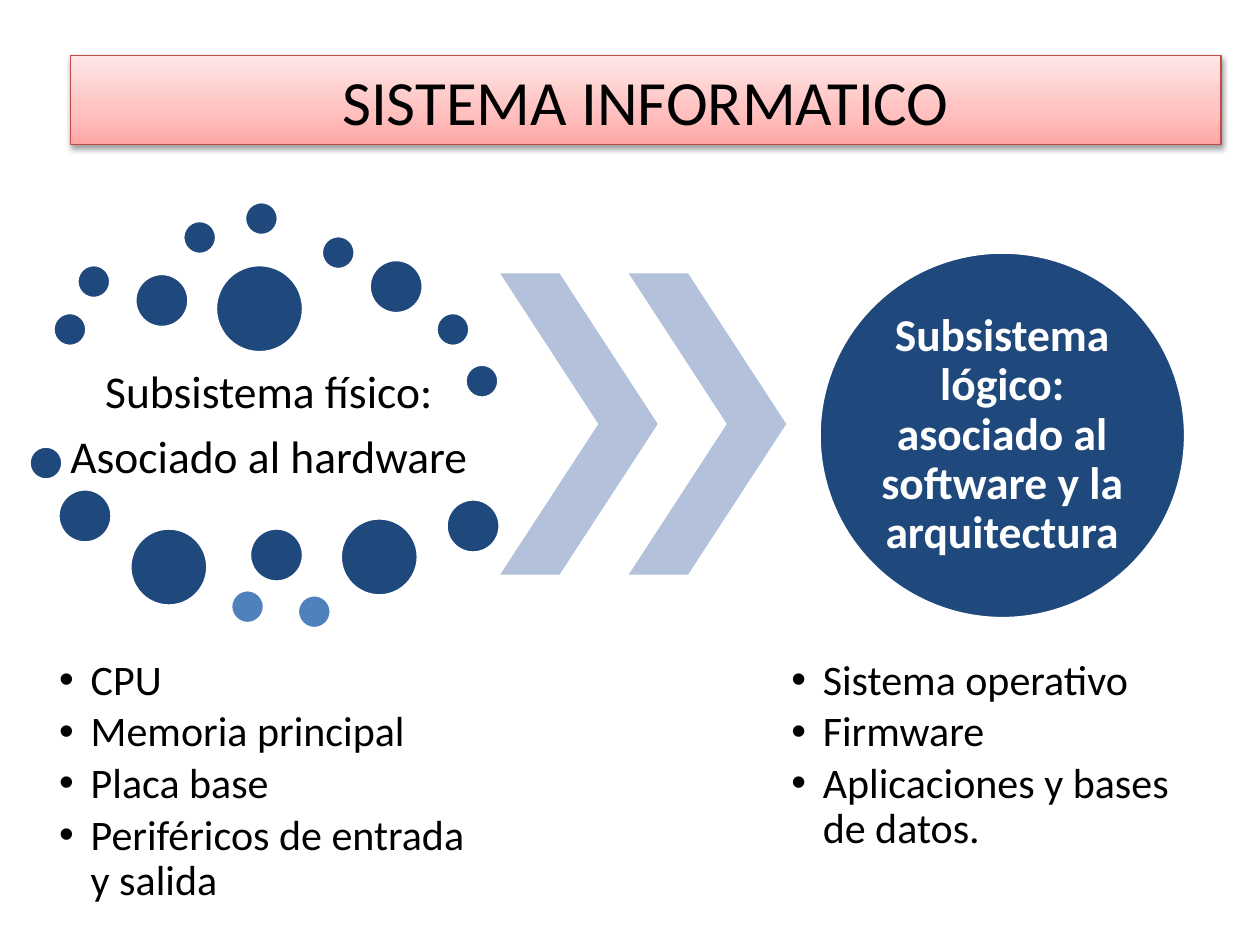
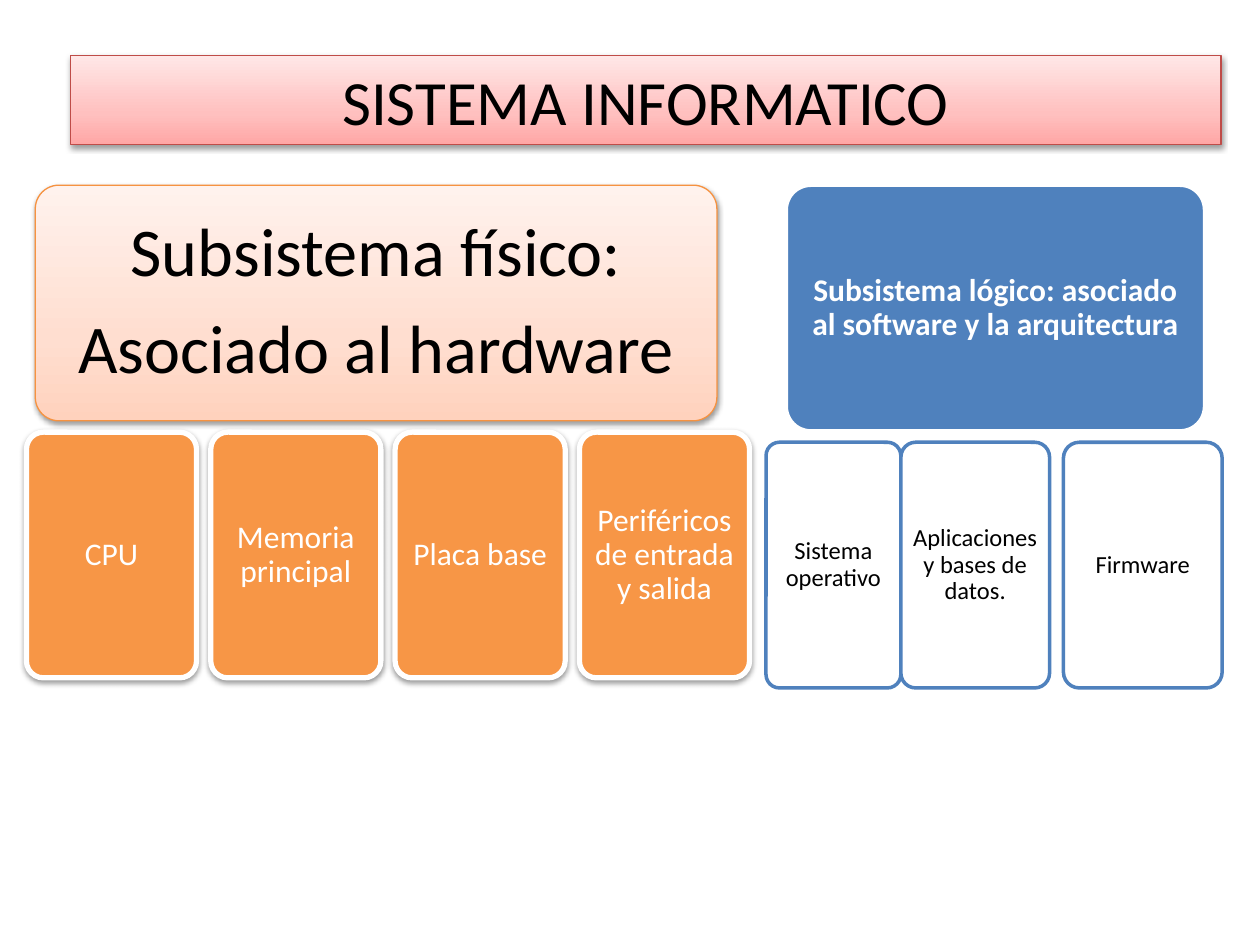
from pptx import Presentation
from pptx.dml.color import RGBColor
from pptx.enum.shapes import MSO_SHAPE as SHAPE
from pptx.enum.text import MSO_ANCHOR as ANCHOR, MSO_AUTO_SIZE as AUTO_SIZE, PP_ALIGN as ALIGN
from pptx.oxml import parse_xml
from pptx.oxml.ns import nsdecls, qn
from pptx.util import Inches, Pt

COLORS = {
    "black": "000000", "white": "FFFFFF", "navy": "1F497D", "blue": "4F81BD",
    "pale_blue": "B3C1DB", "orange": "F79646", "orange_edge": "F69240", "red_edge": "BF4C48",
}
GRADIENTS = {
    "red": {0: "FFA6A5", 35: "FFC0BF", 100: "FFE7E7"},
    "peach": {0: "FFD2BD", 35: "FFDED0", 100: "FFF2ED"},
}
FONT = "Calibri"
PHYSICAL = ["Subsistema físico:", "Asociado al hardware"]
LOGICAL = ["Subsistema lógico: asociado al software y la arquitectura"]
HARDWARE = ["CPU", "Memoria principal", "Placa base", "Periféricos de entrada y salida"]
SYSTEM, FIRMWARE, APPLICATIONS = "Sistema operativo", "Firmware", "Aplicaciones y bases de datos."


def decorate(shape, fill, line=None, width=2, shadow=False):
    if fill in GRADIENTS:
        shape.fill.gradient()
        shape.fill.gradient_angle = 90
        stops = shape._element.spPr.find(".//" + qn("a:gsLst"))
        for stop in list(stops):
            stops.remove(stop)
        for position, color in GRADIENTS[fill].items():
            stops.append(parse_xml(f'<a:gs {nsdecls("a")} pos="{position * 1000}"><a:srgbClr val="{color}"/></a:gs>'))
    else:
        shape.fill.solid()
        shape.fill.fore_color.rgb = RGBColor.from_string(COLORS[fill])
    if line:
        shape.line.color.rgb = RGBColor.from_string(COLORS[line])
        shape.line.width = Pt(width)
    else:
        shape.line.fill.background()
    effects = shape._element.spPr.find(qn("a:effectLst"))
    if effects is None:
        effects = parse_xml(f'<a:effectLst {nsdecls("a")}/>')
        shape._element.spPr.append(effects)
    if shadow:
        effects.append(parse_xml(
            f'<a:outerShdw {nsdecls("a")} blurRad="40000" dist="20000" dir="5400000" rotWithShape="0">'
            '<a:srgbClr val="000000"><a:alpha val="38000"/></a:srgbClr></a:outerShdw>'))


def write(shape, texts, size, color="black", bold=False, inset=0.0, after=0.35,
          align=ALIGN.CENTER, anchor=ANCHOR.MIDDLE):
    frame = shape.text_frame
    frame.word_wrap = True
    frame.auto_size = AUTO_SIZE.NONE
    frame.vertical_anchor = anchor
    frame.margin_left = frame.margin_right = frame.margin_top = frame.margin_bottom = Inches(inset)
    frame.text = "\n".join(texts)
    for paragraph in frame.paragraphs:
        paragraph.alignment = align
        paragraph.line_spacing = 0.9
        paragraph.space_before = Pt(0)
        paragraph.space_after = Pt(size * after)
        paragraph.font.name = FONT
        paragraph.font.size = Pt(size)
        paragraph.font.bold = bold
        paragraph.font.color.rgb = RGBColor.from_string(COLORS[color])


presentation = Presentation()
presentation.slide_width, presentation.slide_height = Inches(10), Inches(7.5)
TWO_CONTENT, TITLE_ONLY = presentation.slide_layouts[3], presentation.slide_layouts[5]
slides = [presentation.slides.add_slide(layout) for layout in (TWO_CONTENT, TITLE_ONLY)]

for slide in slides:
    title = slide.shapes.title
    title.left, title.top, title.width, title.height = Inches(0.56), Inches(0.44), Inches(9.13), Inches(0.71)
    decorate(title, "red", "red_edge", 0.75, shadow=True)
    write(title, ["SISTEMA INFORMATICO"], 36, inset=0.05, after=0)
    title.text_frame.paragraphs[0].line_spacing = 1.0

overview, breakdown = slides

lists = [(0.43, HARDWARE), (6.24, [SYSTEM, FIRMWARE, APPLICATIONS])]
for body, (left, items) in zip(list(overview.placeholders)[1:], lists):
    body.left, body.top, body.width, body.height = Inches(left), Inches(5.19), Inches(3.41), Inches(2.11)
    write(body, items, 24, inset=0.04, after=0.15, align=ALIGN.LEFT, anchor=ANCHOR.TOP)
    for paragraph in body.text_frame.paragraphs:
        properties = paragraph._p.get_or_add_pPr()
        properties.set("marL", str(Inches(0.25)))
        properties.set("indent", str(-Inches(0.25)))

physical_label = overview.shapes.add_textbox(Inches(0.43), Inches(2.82), Inches(3.41), Inches(1.12))
write(physical_label, PHYSICAL, 26, inset=0.04)

dots = [
    ("navy", 0.27, [(0.42, 2.48), (0.61, 2.1), (1.45, 1.75), (1.94, 1.6), (2.55, 1.87),
                    (3.46, 2.48), (3.69, 2.89), (0.23, 3.54)]),
    ("navy", 0.43, [(1.07, 2.17), (2.93, 2.06), (0.46, 3.88), (1.98, 4.19), (3.54, 3.96)]),
    ("navy", 0.62, [(1.03, 4.19), (2.7, 4.11)]),
    ("navy", 0.7, [(1.71, 2.1)]),
    ("blue", 0.27, [(1.83, 4.68), (2.36, 4.72)]),
]
for color, diameter, places in dots:
    for left, top in places:
        dot = overview.shapes.add_shape(SHAPE.OVAL, Inches(left), Inches(top), Inches(diameter), Inches(diameter))
        decorate(dot, color, "white")

for left in (3.97, 4.99):
    chevron = overview.shapes.add_shape(SHAPE.CHEVRON, Inches(left), Inches(2.17), Inches(1.25), Inches(2.39))
    chevron.adjustments[0] = 0.623
    decorate(chevron, "pale_blue")

logical_circle = overview.shapes.add_shape(SHAPE.OVAL, Inches(6.5), Inches(2), Inches(2.91), Inches(2.91))
decorate(logical_circle, "navy", "white")
write(logical_circle, LOGICAL, 26, "white", bold=True)

orange_style = ("orange", "white", 3, True)
outline_style = ("white", "blue", 2, False)
cards = [
    (0.28, 1.47, 5.41, 1.87, ("peach", "orange_edge", 0.75, True), PHYSICAL, (39, "black", False, 0.16)),
    (6.24, 1.47, 3.32, 1.95, ("blue", "white", 2, False), LOGICAL, (18, "white", True, 0.07)),
]
for index, item in enumerate(HARDWARE):
    cards.append((0.21 + 1.463 * index, 3.43, 1.35, 1.95, orange_style, [item], (18, "white", False, 0.07)))
for left, width, item in [(6.08, 1.07, SYSTEM), (8.44, 1.26, FIRMWARE), (7.15, 1.18, APPLICATIONS)]:
    cards.append((left, 3.51, width, 1.95, outline_style, [item], (14, "black", False, 0.06)))

for left, top, width, height, style, texts, text_style in cards:
    card = breakdown.shapes.add_shape(SHAPE.ROUNDED_RECTANGLE, Inches(left), Inches(top), Inches(width), Inches(height))
    card.adjustments[0] = 0.1
    decorate(card, *style)
    write(card, texts, *text_style)

presentation.save("out.pptx")
